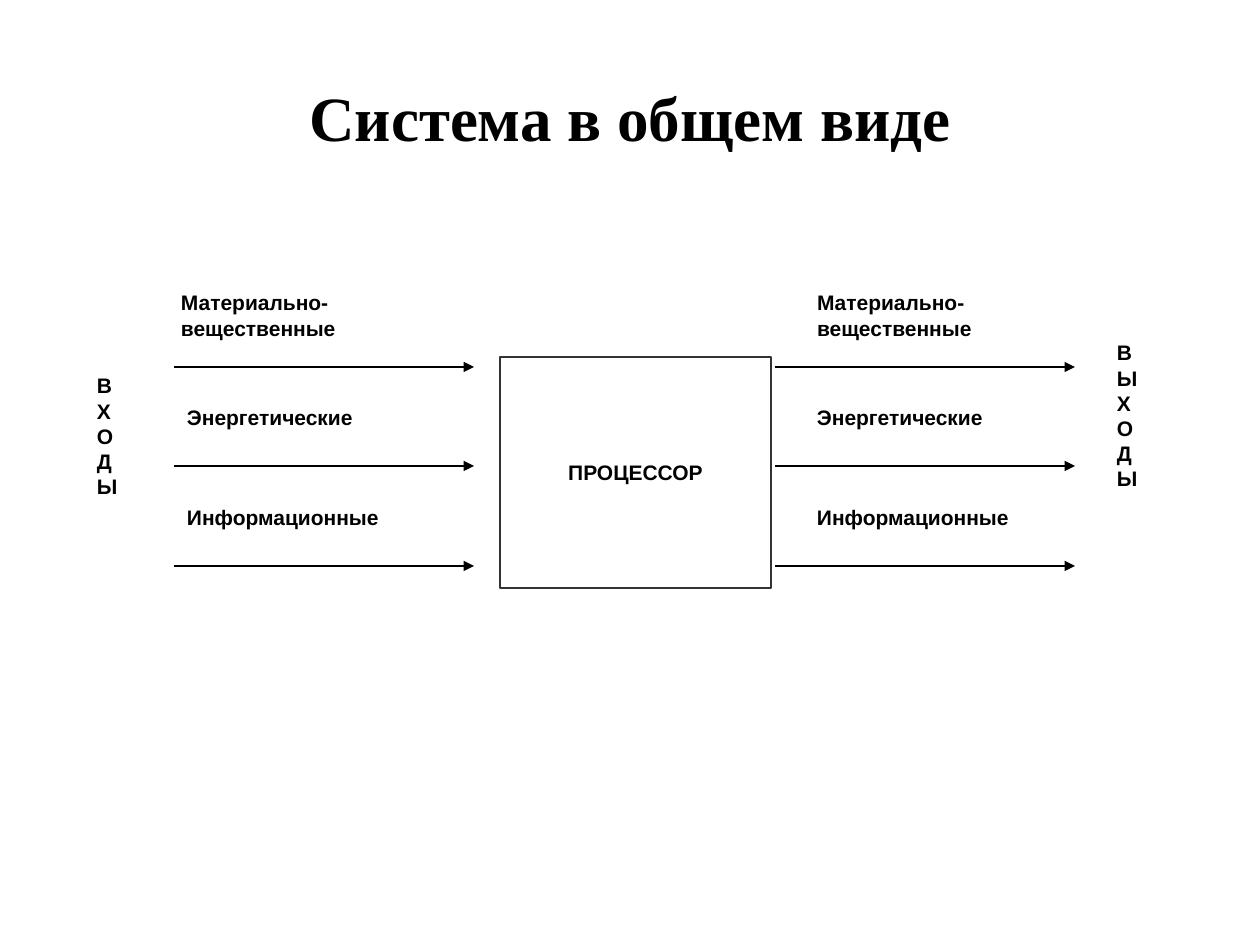
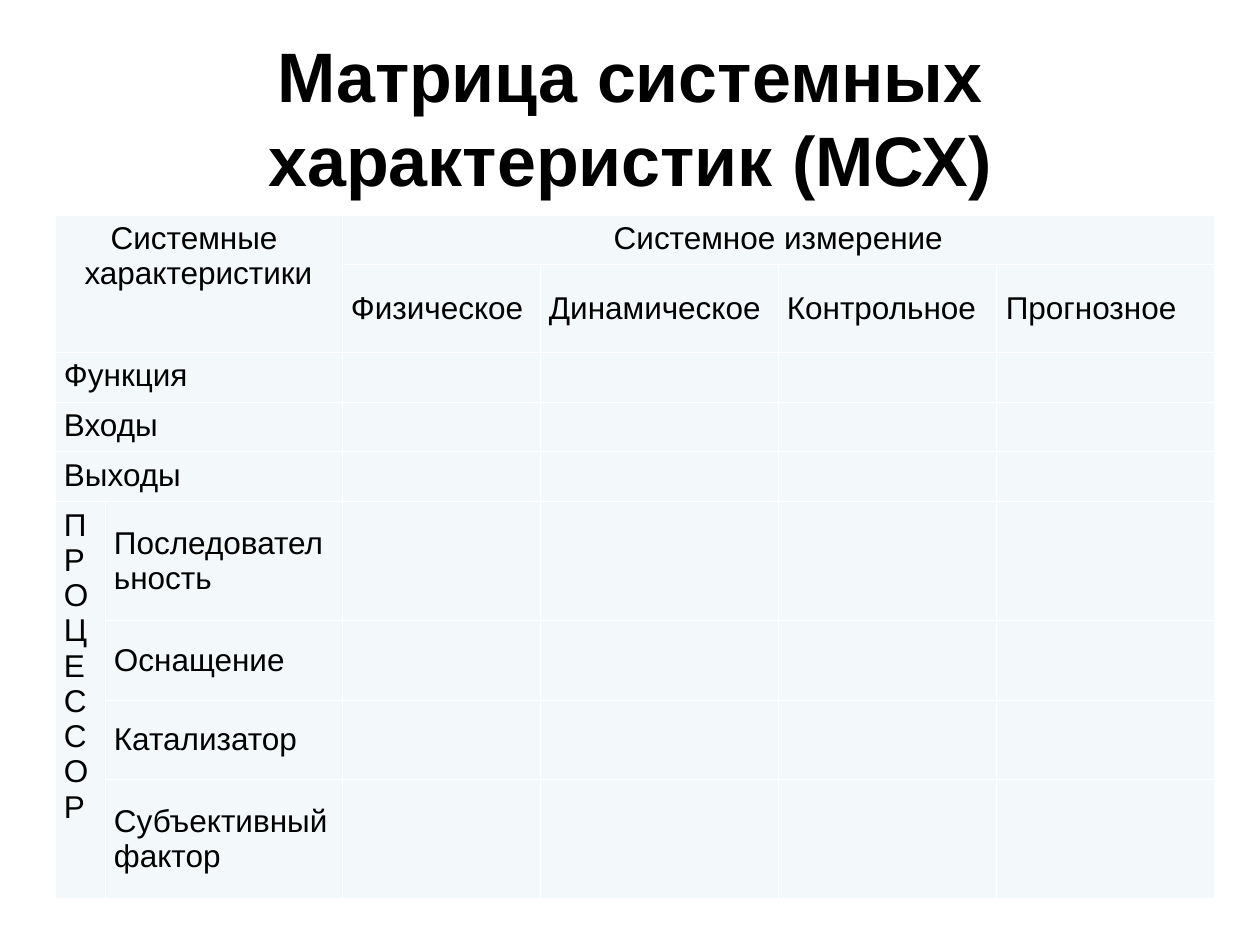
import pptx
import pptx.util
import pptx.dml.color
import pptx.enum.shapes
import pptx.enum.text
from pptx.oxml.ns import qn
from lxml import etree

HUES = {"ink": "000000", "frame": "333333", "page": "FFFFFF", "cell": "F3F9FA"}
SCALE = 914400 / 126
ALIGN = pptx.enum.text.PP_ALIGN
MID = pptx.enum.text.MSO_ANCHOR.MIDDLE


def px(num):
    return pptx.util.Emu(round(num * SCALE))


def put(frame, text, size, bold=True, align=ALIGN.LEFT, font="Arial", pad=(13, 6)):
    frame.word_wrap = True
    frame.margin_left = frame.margin_right = px(pad[0])
    frame.margin_top = frame.margin_bottom = px(pad[1])
    frame.text = text
    for para in frame.paragraphs:
        para.alignment = align
        for run in para.runs:
            run.font.name = font
            run.font.size = pptx.util.Pt(size)
            run.font.bold = bold
            run.font.color.rgb = tint["ink"]


tint = {key: pptx.dml.color.RGBColor.from_string(val) for key, val in HUES.items()}
deck = pptx.Presentation()
deck.slide_width, deck.slide_height = px(1260), px(945)

pages = []
for text, size, font in [
    ("Система в общем виде", 36, "Times New Roman"),
    ("Матрица системных характеристик (МСХ)", 40, "Arial"),
]:
    page = deck.slides.add_slide(deck.slide_layouts[6])
    title = page.shapes.add_textbox(px(63), px(38), px(1134), px(157))
    put(title.text_frame, text, size, align=ALIGN.CENTER, font=font)
    title.text_frame.vertical_anchor = MID
    pages.append(page)
scheme, matrix = pages

core = scheme.shapes.add_shape(
    pptx.enum.shapes.MSO_SHAPE.RECTANGLE, px(500), px(357), px(271), px(231))
core.shadow.inherit = False
core.fill.background()
core.line.color.rgb = tint["frame"]
core.line.width = pptx.util.Pt(1.5)
put(core.text_frame, "ПРОЦЕССОР", 12, align=ALIGN.CENTER)
core.text_frame.vertical_anchor = MID

for word, left, top, width, height in [
    ("ВХОДЫ", 84, 367, 90, 232),
    ("ВЫХОДЫ", 1104, 334, 90, 297),
]:
    side = scheme.shapes.add_textbox(px(left), px(top), px(width), px(height))
    side.fill.solid()
    side.fill.fore_color.rgb = tint["page"]
    put(side.text_frame, "\n".join(word), 12)

flows = [("Материально-вещественные", 284, 83), ("Энергетические", 399, 67),
         ("Информационные", 499, 67)]
for start, lefts, widths in [
    (174, (168, 174, 174), (277, 300, 330)),
    (775, (804, 804, 804), (270, 300, 330)),
]:
    for (text, top, height), left, width in zip(flows, lefts, widths):
        label = scheme.shapes.add_textbox(px(left), px(top), px(width), px(height))
        put(label.text_frame, text, 12)
        level = top + height
        arrow = scheme.shapes.add_connector(
            pptx.enum.shapes.MSO_CONNECTOR.STRAIGHT,
            px(start), px(level), px(start + 300), px(level))
        arrow.line.color.rgb = tint["ink"]
        arrow.line.width = pptx.util.Pt(1.5)
        etree.SubElement(arrow.line._get_or_add_ln(), qn("a:tailEnd"), type="triangle")
        etree.SubElement(arrow._element.spPr, qn("a:effectLst"))

cols = [50, 237, 198, 238, 219, 218]
rows = [48, 83, 48, 48, 48, 119, 80, 79, 119]
grid = matrix.shapes.add_table(
    len(rows), len(cols), px(55), px(215), px(sum(cols)), px(sum(rows))).table
grid.first_row = grid.horz_banding = False
for col, width in zip(grid.columns, cols):
    col.width = px(width)
for row, height in zip(grid.rows, rows):
    row.height = px(height)

texts = {
    (0, 0): "Системные \vхарактеристики", (0, 2): "Системное измерение",
    (5, 0): "\n".join("ПРОЦЕССОР"),
}
for pos, text in enumerate(["Физическое", "Динамическое", "Контрольное", "Прогнозное"]):
    texts[1, 2 + pos] = text
for pos, text in enumerate(["Функция", "Входы", "Выходы"]):
    texts[2 + pos, 0] = text
for pos, text in enumerate(
        ["Последовательность", "Оснащение", "Катализатор", "Субъективный фактор"]):
    texts[5 + pos, 1] = text

for first, last in [((0, 0), (1, 1)), ((0, 2), (0, 5)), ((5, 0), (8, 0)),
                    *(((num, 0), (num, 1)) for num in (2, 3, 4))]:
    grid.cell(*first).merge(grid.cell(*last))

for r in range(len(rows)):
    for c in range(len(cols)):
        cell = grid.cell(r, c)
        cell.fill.solid()
        cell.fill.fore_color.rgb = tint["cell"]
        cell.margin_left = cell.margin_right = px(9)
        cell.margin_top = cell.margin_bottom = px(6)
        props = cell._tc.get_or_add_tcPr()
        for pos, edge in enumerate(["lnL", "lnR", "lnT", "lnB"]):
            line = etree.Element(qn("a:" + edge), w=str(pptx.util.Pt(0.45)))
            paint = etree.SubElement(line, qn("a:solidFill"))
            etree.SubElement(paint, qn("a:srgbClr"), val=HUES["page"])
            props.insert(pos, line)
        if (r, c) in texts:
            align = ALIGN.CENTER if r == 0 else ALIGN.JUSTIFY
            for para_text in [texts[r, c]]:
                cell.text = para_text
            for para in cell.text_frame.paragraphs:
                para.alignment = align
                for run in para.runs:
                    run.font.name = "Arial"
                    run.font.size = pptx.util.Pt(18)
                    run.font.color.rgb = tint["ink"]
            if r == 1 or c == 1:
                cell.vertical_anchor = MID

deck.save("out.pptx")
